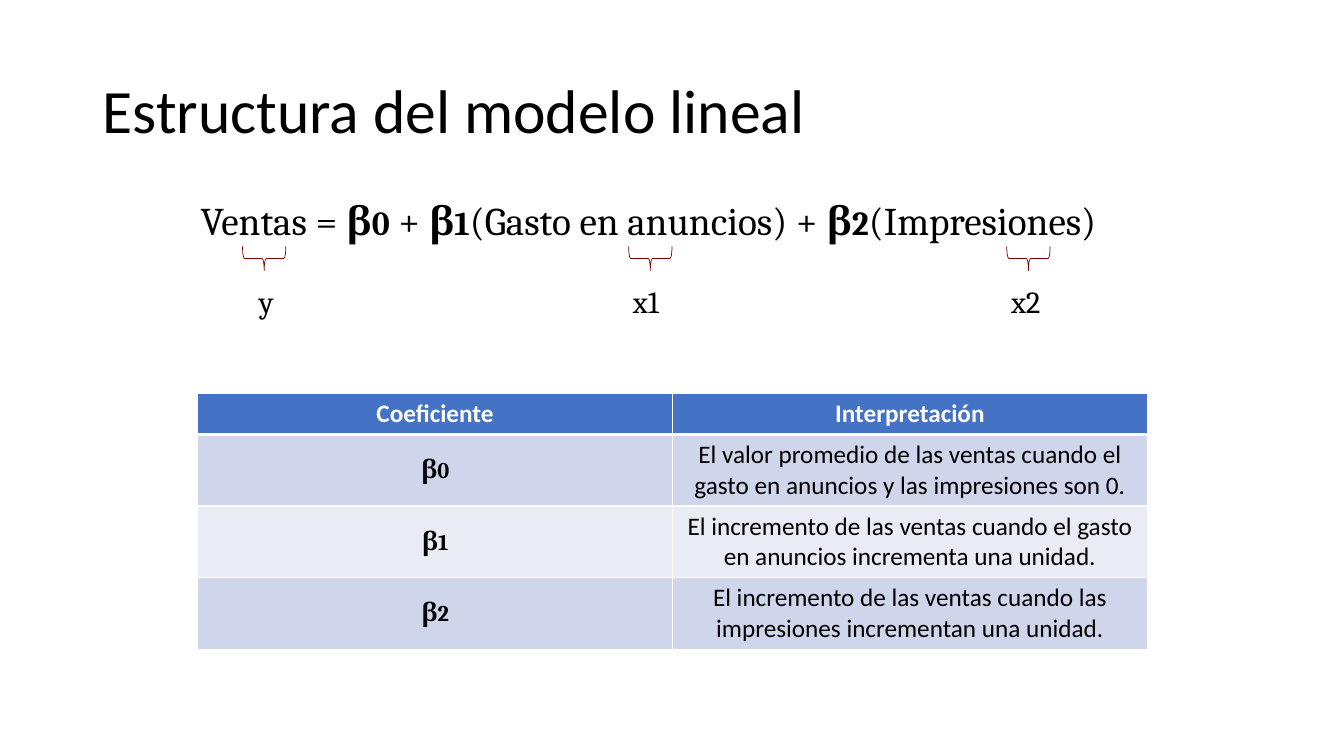
import pptx
import pptx.dml.color
import pptx.enum.shapes
import pptx.enum.text
import pptx.oxml.ns
import pptx.util
from lxml import etree

Inches = pptx.util.Inches
Pt = pptx.util.Pt
qn = pptx.oxml.ns.qn
CENTER = pptx.enum.text.PP_ALIGN.CENTER
MIDDLE = pptx.enum.text.MSO_ANCHOR.MIDDLE
NO_FIT = pptx.enum.text.MSO_AUTO_SIZE.NONE

FORMULA = [("Ventas = ", None), ("β", "0"), (" + ", None), ("β", "1"),
           ("(Gasto en anuncios) + ", None), ("β", "2"), ("(Impresiones)", None)]
VARIABLES = [("y", 2.62, 0.32), ("x1", 6.45, 0.56), ("x2", 10.2, 0.56)]
HEADERS = ["Coeficiente", "Interpretación"]
MEANINGS = [
    "El valor promedio de las ventas cuando el gasto en anuncios y las impresiones son 0.",
    "El incremento de las ventas cuando el gasto en anuncios incrementa una unidad.",
    "El incremento de las ventas cuando las impresiones incrementan una unidad.",
]
BANDS = ["CFD5EA", "E9EBF5"]


def color(value):
    return pptx.dml.color.RGBColor.from_string(value)


def place(box, left, top, width, height):
    box.left, box.top = Inches(left), Inches(top)
    box.width, box.height = Inches(width), Inches(height)


def style(para, size, name, ink="000000", bold=False):
    para.font.size, para.font.name, para.font.bold = Pt(size), name, bold
    para.font.color.rgb = color(ink)


def add_span(para, text, size=None, bold=None):
    span = para.add_run()
    span.text = text
    span.font.bold = bold
    if size:
        span.font.size = Pt(size)


def add_coefficient(para, index, index_size):
    add_span(para, "β", bold=True)
    add_span(para, index, index_size, True)


def fill_title(box):
    place(box, 0.92, 0.4, 11.5, 1.45)
    frame = box.text_frame
    frame.text = "Estructura del modelo lineal"
    frame.vertical_anchor, frame.auto_size = MIDDLE, NO_FIT
    para = frame.paragraphs[0]
    para.alignment = pptx.enum.text.PP_ALIGN.LEFT
    para.line_spacing = 0.9
    style(para, 44, "Calibri")


def fill_formula(box):
    place(box, 1.89, 1.95, 9.97, 0.62)
    box.text_frame.auto_size = NO_FIT
    para = box.text_frame.paragraphs[0]
    para.line_spacing, para.space_before = 0.9, Pt(10)
    style(para, 28, "Cambria")
    properties = para._p.get_or_add_pPr()
    properties.set("marL", "0")
    properties.set("indent", "0")
    bullet = etree.Element(qn("a:buNone"))
    properties.insert(list(properties).index(properties.find(qn("a:defRPr"))), bullet)
    for text, index in FORMULA:
        if index:
            add_coefficient(para, index, 24)
        else:
            add_span(para, text)


def add_variable(page, name, center, width):
    brace = page.shapes.add_shape(
        pptx.enum.shapes.MSO_SHAPE.RIGHT_BRACE,
        Inches(center - 0.12), Inches(2.35), Inches(0.24), Inches(0.43))
    brace.rotation = 90
    brace.shadow.inherit = False
    brace.fill.background()
    brace.line.color.rgb = color("800000")
    brace.line.width = Pt(0.5)
    box = page.shapes.add_textbox(
        Inches(center + 0.01 - width / 2), Inches(2.76), Inches(width), Inches(0.47))
    box.text_frame.text = name
    style(box.text_frame.paragraphs[0], 22, "Cambria")


def format_cell(cell, background, bottom=1):
    cell.vertical_anchor = MIDDLE
    cell.text_frame.paragraphs[0].alignment = CENTER
    properties = cell._tc.get_or_add_tcPr()
    for side, width in (("L", 1), ("R", 1), ("T", 1), ("B", bottom)):
        line = etree.SubElement(properties, qn("a:ln" + side), w=str(Pt(width)))
        paint = etree.SubElement(line, qn("a:solidFill"))
        etree.SubElement(paint, qn("a:srgbClr"), val="FFFFFF")
    cell.fill.solid()
    cell.fill.fore_color.rgb = color(background)


def add_coefficient_table(page):
    table = page.shapes.add_table(
        len(MEANINGS) + 1, len(HEADERS),
        Inches(1.96), Inches(3.9), Inches(9.42), Inches(2.51)).table
    table.rows[0].height = Inches(0.41)
    for column, header in enumerate(HEADERS):
        cell = table.cell(0, column)
        cell.text = header
        style(cell.text_frame.paragraphs[0], 18, "Calibri", "FFFFFF", True)
        format_cell(cell, "4472C4", 3)
    for number, meaning in enumerate(MEANINGS):
        table.rows[number + 1].height = Inches(0.7)
        symbol, text = table.cell(number + 1, 0), table.cell(number + 1, 1)
        para = symbol.text_frame.paragraphs[0]
        style(para, 18, "Cambria")
        add_coefficient(para, str(number), 16)
        text.text = meaning
        style(text.text_frame.paragraphs[0], 18, "Calibri")
        for cell in (symbol, text):
            format_cell(cell, BANDS[number % 2], 1)
            if number == 0:
                top = cell._tc.tcPr.find(qn("a:lnT"))
                top.set("w", str(Pt(3)))


def main():
    deck = pptx.Presentation()
    deck.slide_width, deck.slide_height = Inches(13.33), Inches(7.5)
    page = deck.slides.add_slide(deck.slide_layouts[1])
    fill_title(page.shapes.title)
    fill_formula(page.placeholders[1])
    add_coefficient_table(page)
    for name, center, width in VARIABLES:
        add_variable(page, name, center, width)
    deck.save("out.pptx")


if __name__ == "__main__":
    main()
